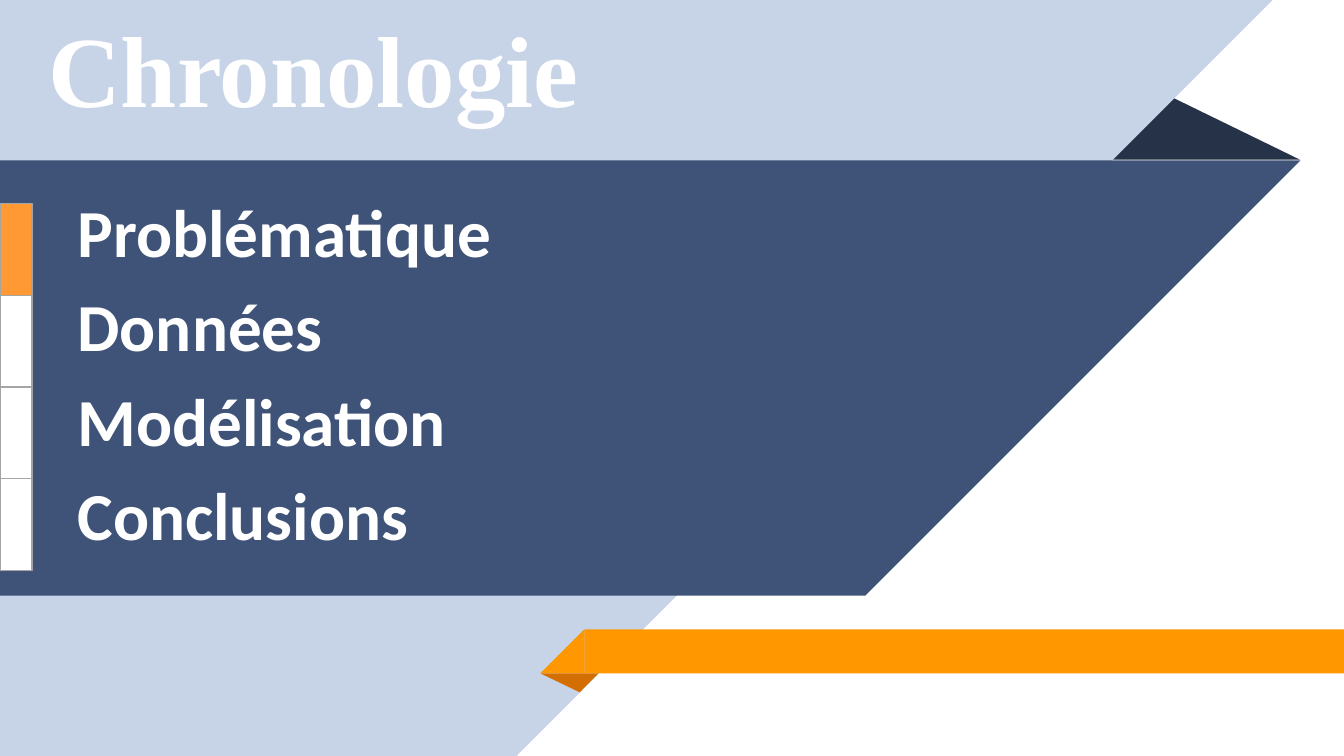
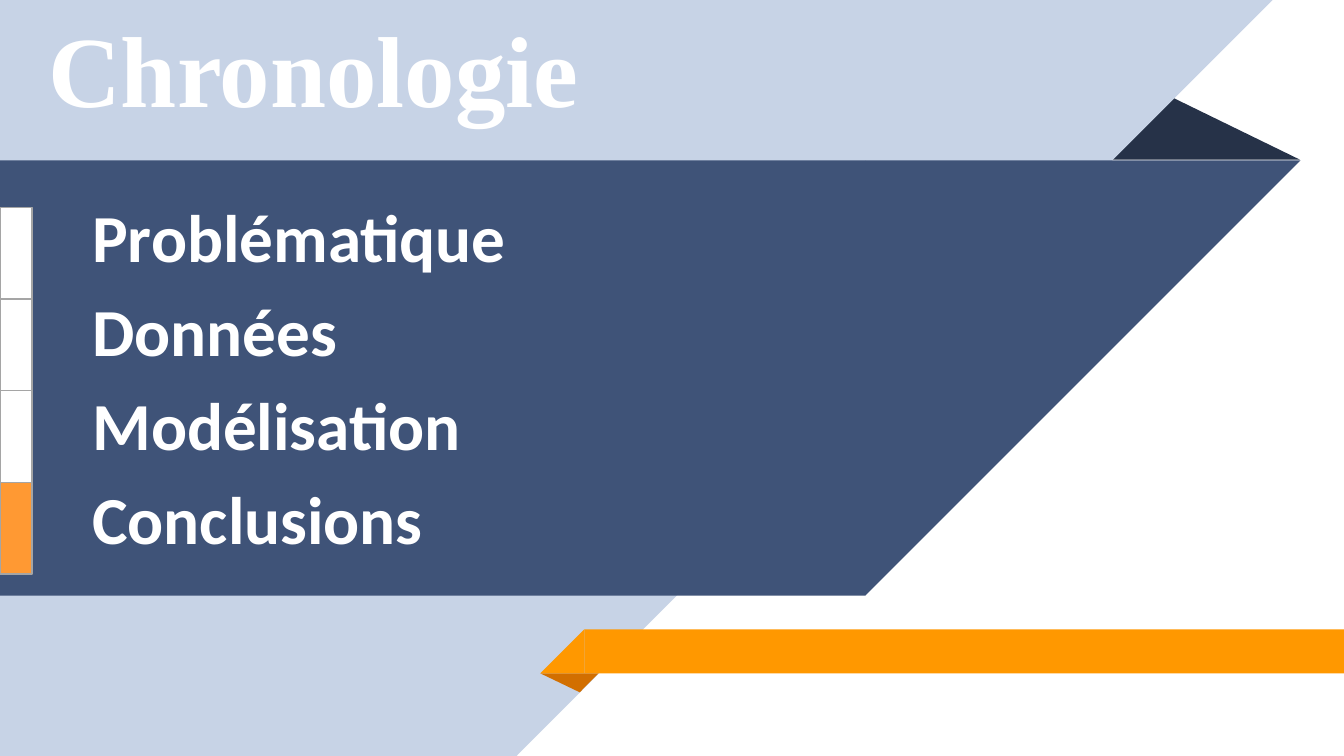
from dataclasses import dataclass

from pptx import Presentation
from pptx.dml.color import RGBColor
from pptx.enum.shapes import MSO_SHAPE
from pptx.enum.text import MSO_AUTO_SIZE
from pptx.util import Emu, Pt

EMU_PER_PX = 914400 / 192
SLIDE_WIDTH, SLIDE_HEIGHT = 1920, 1080
CHAPTERS = ("Problématique", "Données", "Modélisation", "Conclusions")


@dataclass(frozen=True)
class Theme:
    pale: str = "C7D3E6"
    navy: str = "3F5378"
    navy_fold: str = "263248"
    orange: str = "FF9800"
    orange_fold: str = "D26F00"
    current: str = "FF9933"
    white: str = "FFFFFF"
    outline: str = "A5A5A5"
    outline_width: float = 0.75
    title_font: str = "Times New Roman"
    title_size: int = 54
    body_font: str = "Calibri"
    body_size: int = 36
    body_gap: float = 7.2


def px(length):
    return Emu(round(length * EMU_PER_PX))


class Deck:
    def __init__(self, theme):
        self.theme = theme
        self.presentation = Presentation()
        self.presentation.slide_width = px(SLIDE_WIDTH)
        self.presentation.slide_height = px(SLIDE_HEIGHT)
        self.slide = None

    def new_slide(self):
        blank = self.presentation.slide_layouts[6]
        self.slide = self.presentation.slides.add_slide(blank)

    def block(self, box, fill, kind=MSO_SHAPE.RECTANGLE, outline=None,
              rotation=0, flipped=False, apex=None):
        """Add a filled preset shape; apex places the tip of a triangle."""
        shape = self.slide.shapes.add_shape(kind, *map(px, box))
        shape.shadow.inherit = False
        shape.fill.solid()
        shape.fill.fore_color.rgb = RGBColor.from_string(fill)
        if outline:
            shape.line.color.rgb = RGBColor.from_string(outline)
            shape.line.width = Pt(self.theme.outline_width)
        else:
            shape.line.fill.background()
        shape.rotation = rotation
        if flipped:
            shape.element.spPr.get_or_add_xfrm().set("flipH", "1")
        if apex is not None:
            shape.adjustments[0] = apex

    def text(self, box, lines, font, size, gap=0, grow=False):
        frame = self.slide.shapes.add_textbox(*map(px, box)).text_frame
        frame.word_wrap = True
        if grow:
            frame.auto_size = MSO_AUTO_SIZE.SHAPE_TO_FIT_TEXT
        for index, line in enumerate(lines):
            paragraph = frame.add_paragraph() if index else frame.paragraphs[0]
            if index and gap:
                paragraph.space_before = Pt(gap)
            run = paragraph.add_run()
            run.text = line
            run.font.name = font
            run.font.size = Pt(size)
            run.font.bold = True
            run.font.color.rgb = RGBColor.from_string(self.theme.white)

    def ribbons(self):
        """Draw the folded bands behind the content of every slide."""
        theme = self.theme
        corner = MSO_SHAPE.RIGHT_TRIANGLE
        fold = MSO_SHAPE.ISOSCELES_TRIANGLE
        self.block((1584, 138, 273, 90), theme.navy_fold, fold, apex=0.324)
        self.block((0, 0, 739, SLIDE_HEIGHT), theme.pale)
        self.block((739, -1, SLIDE_HEIGHT, SLIDE_HEIGHT), theme.pale, corner,
                   rotation=180, flipped=True)
        self.block((0, 229, 1236, 622), theme.navy)
        self.block((1236, 229, 622, 622), theme.navy, corner,
                   rotation=180, flipped=True)
        self.block((772, 962, 83, 27), theme.orange_fold, fold,
                   rotation=180, apex=0.324)
        self.block((835, 899, 1089, 63), theme.orange)
        self.block((772, 899, 63, 63), theme.orange, corner, flipped=True)

    def title(self, wording):
        self.text((50, 0, 889, 194), [wording], self.theme.title_font,
                  self.theme.title_size, grow=True)

    def chapter_list(self, left, top):
        self.text((left, top, 945, 447), CHAPTERS, self.theme.body_font,
                  self.theme.body_size, self.theme.body_gap)

    def progress(self, top, current):
        """Stack one marker per chapter and highlight the current one."""
        width, height = 46, 131
        for index, chapter in enumerate(CHAPTERS):
            fill = self.theme.current if chapter == current else self.theme.white
            self.block((0, top + index * height, width, height), fill,
                       outline=self.theme.outline)

    def chronology(self, current, list_left, list_top, progress_top):
        self.new_slide()
        self.ribbons()
        self.chapter_list(list_left, list_top)
        self.progress(progress_top, current)
        self.title("Chronologie")


def main():
    deck = Deck(Theme())
    deck.chronology("Problématique", list_left=92, list_top=263, progress_top=291)
    deck.chronology("Conclusions", list_left=113, list_top=269, progress_top=296)
    deck.presentation.save("out.pptx")


if __name__ == "__main__":
    main()
